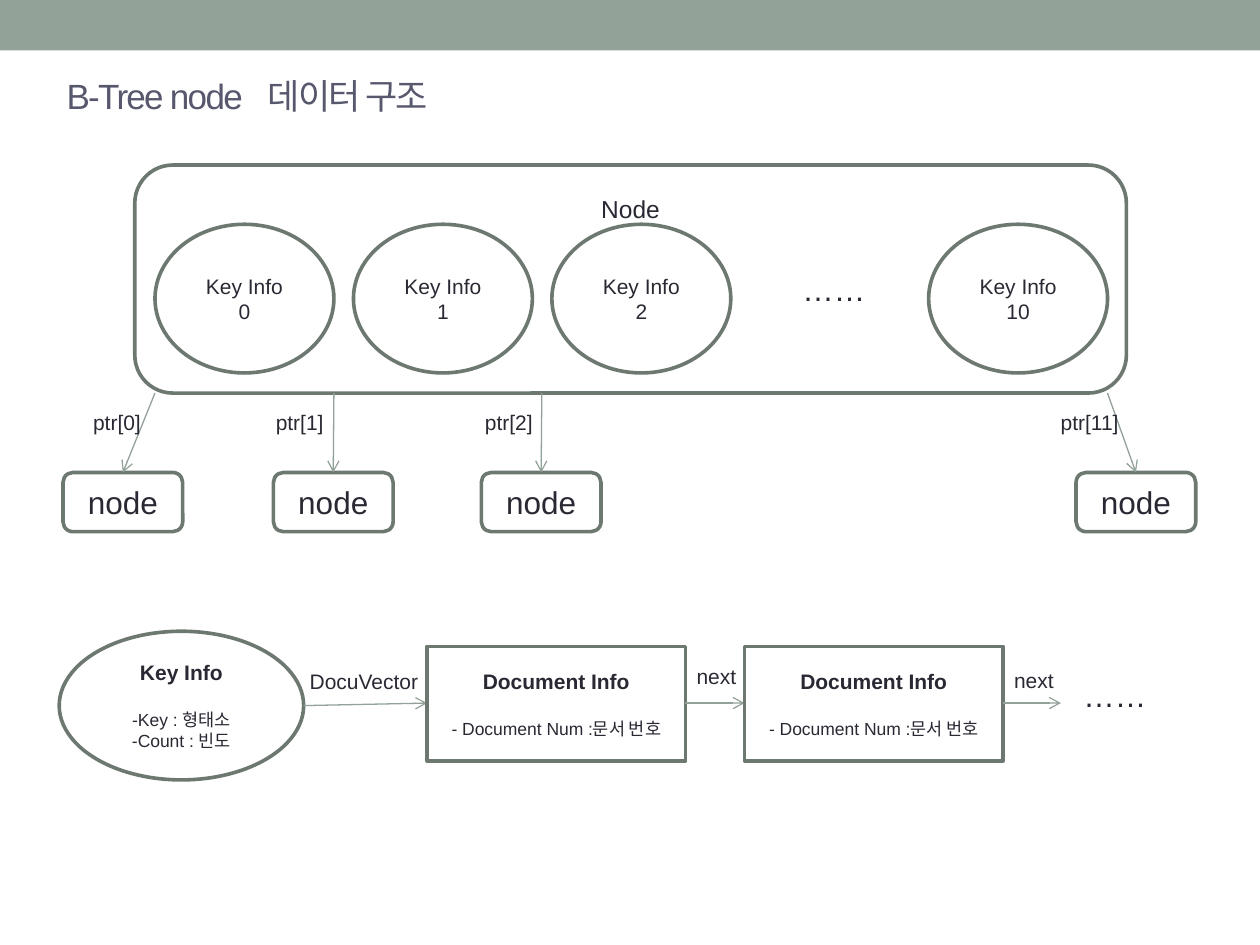
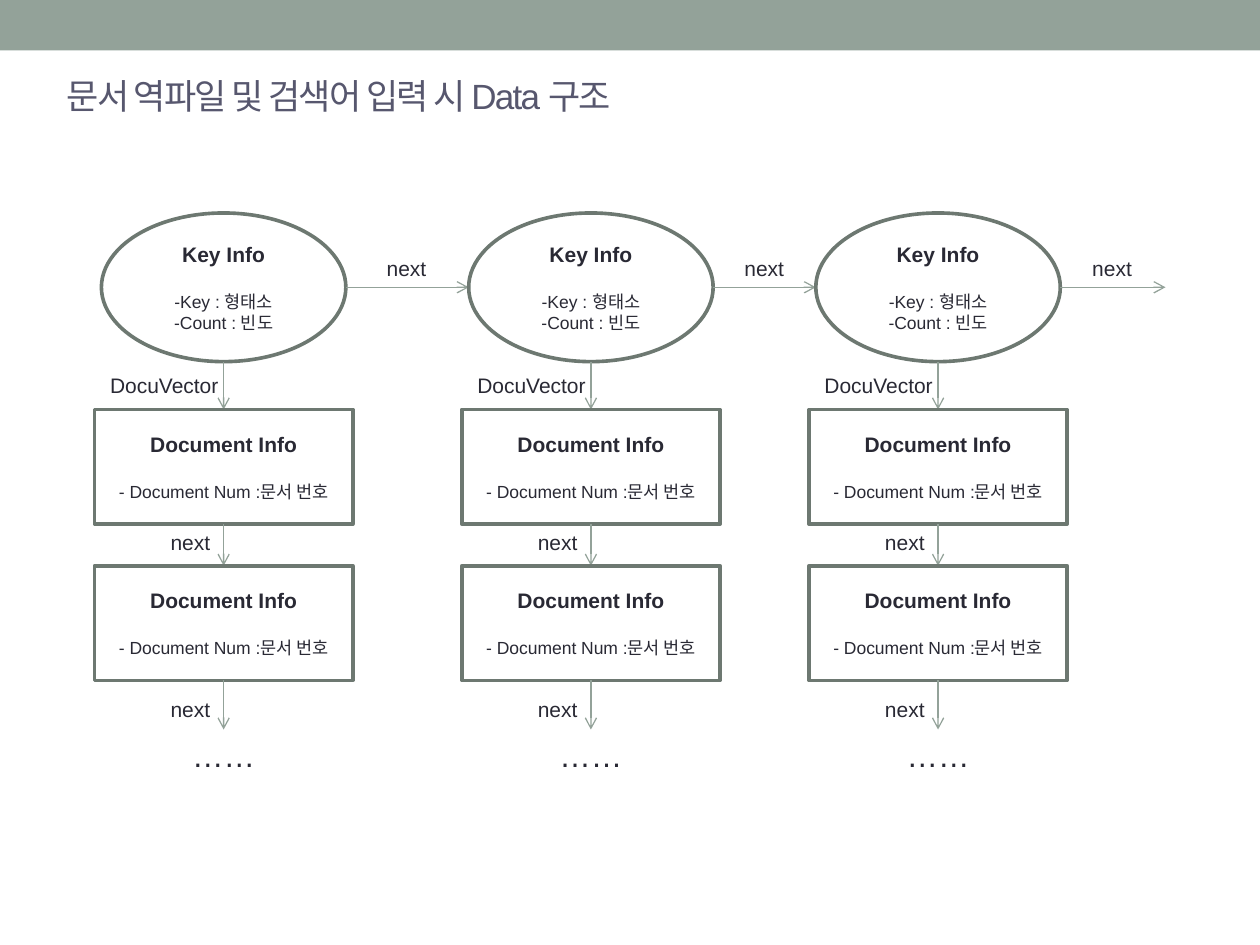
import dataclasses
import typing

import lxml.etree
import pptx
import pptx.dml.color
import pptx.enum.shapes
import pptx.enum.text
import pptx.oxml.ns
import pptx.util

SHAPE = pptx.enum.shapes.MSO_SHAPE
ALIGN = pptx.enum.text.PP_ALIGN
ANCHOR = pptx.enum.text.MSO_ANCHOR
AUTO_SIZE = pptx.enum.text.MSO_AUTO_SIZE
COLS, ROWS = 100, 75
SLIDE_W, SLIDE_H = pptx.util.Inches(10), pptx.util.Inches(7.5)


@dataclasses.dataclass(frozen=True)
class Theme:
    font: str = "Arial"
    band: str = "93A299"
    outline: str = "6D7871"
    title: str = "57576E"
    text: str = "292934"
    title_size: int = 20
    big: int = 18
    heading: int = 14
    body: int = 12
    detail: int = 10
    outline_width: float = 2.08
    arrow_width: float = 0.75
    tracking: int = -100
    title_gap: int = 400


THEME = Theme()


@dataclasses.dataclass(frozen=True)
class Line:
    text: str
    size: int = THEME.body
    bold: bool = False
    before: float = 0


@dataclasses.dataclass(frozen=True)
class Box:
    """An outlined shape; position and size in grid columns and rows."""
    kind: SHAPE
    x: float
    y: float
    w: float
    h: float
    lines: tuple[Line, ...]
    top_inset: typing.Optional[float] = None  # set: text starts at the top


@dataclasses.dataclass(frozen=True)
class Label:
    text: str
    x: float
    y: float
    w: float = 5.2
    h: float = 3
    size: int = THEME.body
    align: ALIGN = ALIGN.LEFT
    wrap: bool = False


@dataclasses.dataclass(frozen=True)
class Arrow:
    x1: float
    y1: float
    x2: float
    y2: float


Item = typing.Union[Box, Label, Arrow]

KEY_W, KEY_H = 19.4, 11.8
DOC_W, DOC_H = 20.5, 9.1
DETAIL_GAP = 13.8


# Grid and formatting helpers
def col(n: float) -> int:
    return round(SLIDE_W * n / COLS)


def row(n: float) -> int:
    return round(SLIDE_H * n / ROWS)


def rgb(value: str) -> pptx.dml.color.RGBColor:
    return pptx.dml.color.RGBColor.from_string(value)


def apply(target: typing.Any, values: dict[str, typing.Any]) -> None:
    for name, value in values.items():
        setattr(target, name, value)


def add_run(p: typing.Any, text: str, size: int, color: str, bold: bool = False) -> typing.Any:
    r = p.add_run()
    r.text = text
    apply(r.font, {"name": THEME.font, "size": pptx.util.Pt(size), "bold": bold})
    r.font.color.rgb = rgb(color)
    return r


# Drawing
def draw_box(slide: typing.Any, box: Box) -> None:
    sp = slide.shapes.add_shape(box.kind, col(box.x), row(box.y), col(box.w), row(box.h))
    sp.shadow.inherit = False
    sp.fill.background()
    sp.line.color.rgb = rgb(THEME.outline)
    sp.line.width = pptx.util.Pt(THEME.outline_width)
    tf = sp.text_frame
    apply(tf, {"word_wrap": True, "vertical_anchor": ANCHOR.MIDDLE})
    if box.top_inset is not None:
        apply(tf, {"vertical_anchor": ANCHOR.TOP, "margin_top": row(box.top_inset)})
    for i, line in enumerate(box.lines):
        p = tf.add_paragraph() if i else tf.paragraphs[0]
        apply(p, {"alignment": ALIGN.CENTER, "space_before": pptx.util.Pt(line.before)})
        add_run(p, line.text, line.size, THEME.text, line.bold)


def draw_label(slide: typing.Any, label: Label) -> None:
    sp = slide.shapes.add_textbox(col(label.x), row(label.y), col(label.w), row(label.h))
    tf = sp.text_frame
    apply(tf, {"word_wrap": label.wrap, "auto_size": AUTO_SIZE.SHAPE_TO_FIT_TEXT})
    p = tf.paragraphs[0]
    p.alignment = label.align
    add_run(p, label.text, label.size, THEME.text)


def draw_arrow(slide: typing.Any, arrow: Arrow) -> None:
    sp = slide.shapes.add_connector(
        pptx.enum.shapes.MSO_CONNECTOR.STRAIGHT,
        col(arrow.x1), row(arrow.y1), col(arrow.x2), row(arrow.y2))
    sp.line.color.rgb = rgb(THEME.band)
    sp.line.width = pptx.util.Pt(THEME.arrow_width)
    qn = pptx.oxml.ns.qn
    sp_pr = sp.element.spPr
    lxml.etree.SubElement(sp_pr.find(qn("a:ln")), qn("a:tailEnd"), type="arrow")
    lxml.etree.SubElement(sp_pr, qn("a:effectLst"))


DRAW = {Box: draw_box, Label: draw_label, Arrow: draw_arrow}


def add_slide(prs: typing.Any, title: tuple[str, ...], items: list[Item]) -> None:
    """Band, title (parts set apart by a wide space) and the diagram."""
    slide = prs.slides.add_slide(prs.slide_layouts[6])
    band = slide.shapes.add_shape(SHAPE.RECTANGLE, 0, 0, SLIDE_W, row(4))
    band.shadow.inherit = False
    band.fill.solid()
    band.fill.fore_color.rgb = rgb(THEME.band)
    band.line.fill.background()

    sp = slide.shapes.add_textbox(col(4.3), row(5.2), col(90), row(4.7))
    tf = sp.text_frame
    apply(tf, {"word_wrap": True, "vertical_anchor": ANCHOR.MIDDLE})
    for i, part in enumerate(title):
        pieces = [(part, THEME.tracking)]
        if i:
            pieces.insert(0, (" ", THEME.title_gap))
        for text, spacing in pieces:
            r = add_run(tf.paragraphs[0], text, THEME.title_size, THEME.title)
            r.font._element.set("spc", str(spacing))
    for item in items:
        DRAW[type(item)](slide, item)


# Parts used on both slides
def key_info(x: float, y: float) -> Box:
    return Box(SHAPE.OVAL, x, y, KEY_W, KEY_H, (
        Line("Key Info", bold=True),
        Line("-Key : 형태소", THEME.detail, before=DETAIL_GAP),
        Line("-Count : 빈도", THEME.detail)))


def document_info(x: float, y: float) -> Box:
    return Box(SHAPE.RECTANGLE, x, y, DOC_W, DOC_H, (
        Line("Document Info", bold=True),
        Line("- Document Num :문서 번호", THEME.detail, before=DETAIL_GAP)))


def docu_vector(x: float, y: float) -> Label:
    return Label("DocuVector", x, y, w=10.7)


def ellipsis(x: float, y: float, align: ALIGN = ALIGN.LEFT) -> Label:
    return Label("……", x, y, 10.2, 4, THEME.big, align, wrap=True)


# Slide 1: a node with its keys and child pointers, and a document list
def node_items() -> list[Item]:
    items: list[Item] = [
        Box(SHAPE.ROUNDED_RECTANGLE, 10.7, 13.1, 78.7, 18.1,
            (Line("Node", THEME.heading),), top_inset=1.4),
        ellipsis(62.7, 20.9)]
    for number, x in ((0, 12.3), (1, 28.05), (2, 43.8), (10, 73.7)):
        items.append(Box(SHAPE.OVAL, x, 17.8, 14.2, 11.8,
                         (Line("Key Info"), Line(str(number)))))

    node_w, node_y, parent_bottom = 9.5, 37.5, 31.2
    # pointer number, child left, arrow start, label left, label width
    for number, x, start, label_x, label_w in (
            (0, 5, 12.3, 6.4, 5.9), (1, 21.7, 26.5, 20.9, 5.9),
            (2, 38.2, 43, 37.5, 5.9), (11, 85.4, 87.9, 83.2, 6.7)):
        items += [
            Box(SHAPE.ROUNDED_RECTANGLE, x, node_y, node_w, 4.7, (Line("node", THEME.big),)),
            Arrow(start, parent_bottom, x + node_w / 2, node_y),
            Label(f"ptr[{number}]", label_x, 32.05, label_w)]

    key_x, key_y, doc_y, link_y = 4.7, 50.1, 51.3, 55.8
    first_doc, second_doc = 33.9, 59.1
    return items + [
        key_info(key_x, key_y),
        Arrow(key_x + KEY_W, key_y + KEY_H / 2, first_doc, link_y),
        docu_vector(23.6, 52.6),
        document_info(first_doc, doc_y),
        Arrow(first_doc + DOC_W, link_y, second_doc, link_y),
        Label("next", 54.3, 52.2),
        document_info(second_doc, doc_y),
        Arrow(second_doc + DOC_W, link_y, 84.2, link_y),
        Label("next", 79.5, 52.5),
        ellipsis(85, 53.2)]


# Slide 2: a chain of keys, each heading a column of documents
def chain_items() -> list[Item]:
    items: list[Item] = []
    key_y, doc_tops, tail_y = 16.9, (32.5, 44.9), 57.9
    link_y = key_y + KEY_H / 2
    centres = (17.75, 46.9, 74.45)
    next_starts = [c - KEY_W / 2 for c in centres[1:]] + [92.5]
    for centre, end, next_x in zip(centres, next_starts, (29.7, 58.1, 85.7)):
        label_x = centre - 5.2
        items += [
            key_info(centre - KEY_W / 2, key_y),
            Arrow(centre + KEY_W / 2, link_y, end, link_y),
            Label("next", next_x, 19.8),
            Arrow(centre, key_y + KEY_H, centre, doc_tops[0]),
            docu_vector(centre - 10, 29.1)]
        for top, below, label_y in zip(doc_tops, (doc_tops[1], tail_y), (41.5, 54.8)):
            items += [
                document_info(centre - DOC_W / 2, top),
                Arrow(centre, top + DOC_H, centre, below),
                Label("next", label_x, label_y)]
        items.append(ellipsis(centre - 5.1, tail_y, ALIGN.CENTER))
    return items


def main() -> None:
    prs = pptx.Presentation()
    apply(prs, {"slide_width": SLIDE_W, "slide_height": SLIDE_H})
    add_slide(prs, ("B-Tree node ", "데이터 구조"), node_items())
    add_slide(prs, ("문서 역파일 및 검색어 입력 시 Data 구조",), chain_items())
    prs.save("out.pptx")


if __name__ == "__main__":
    main()
